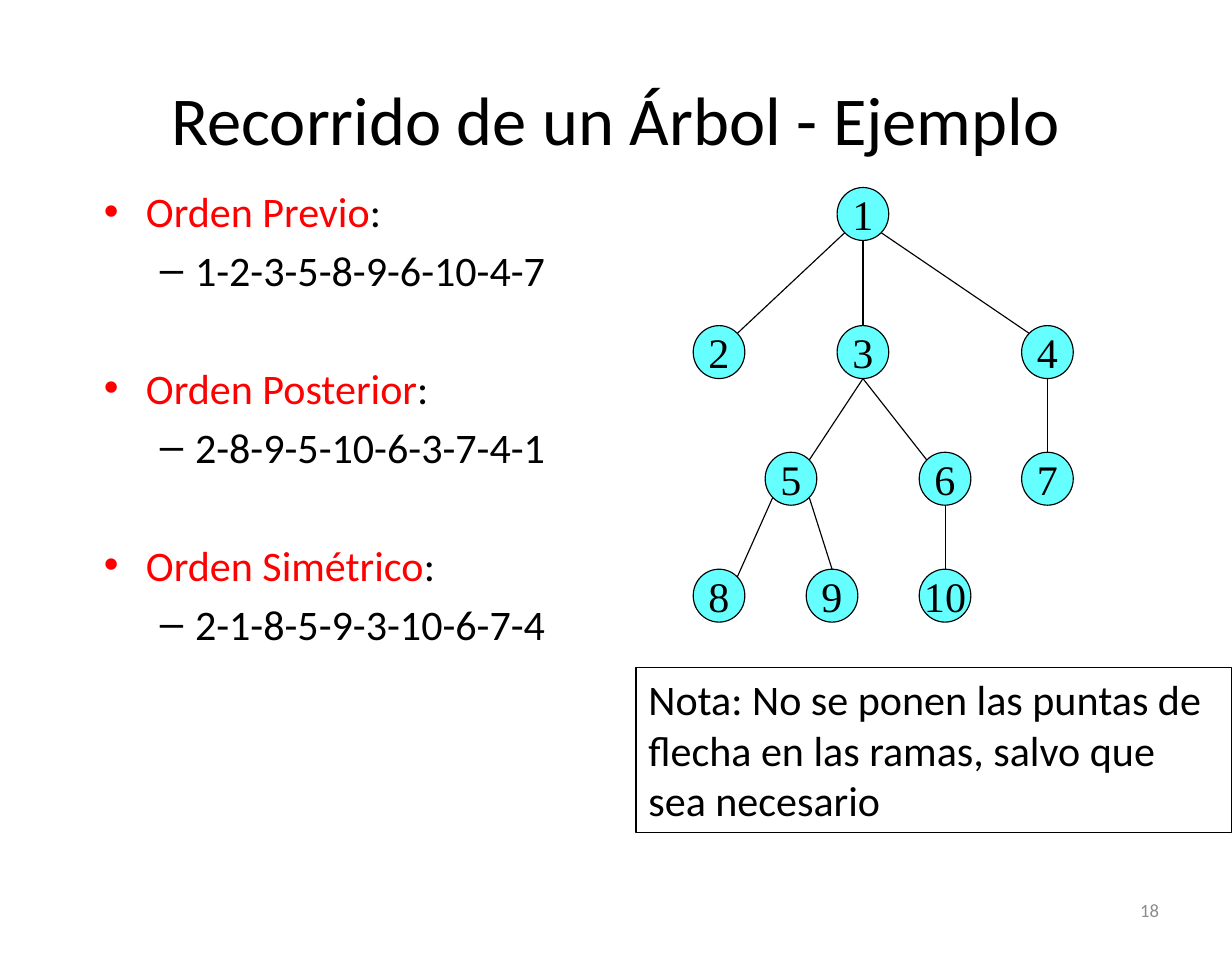
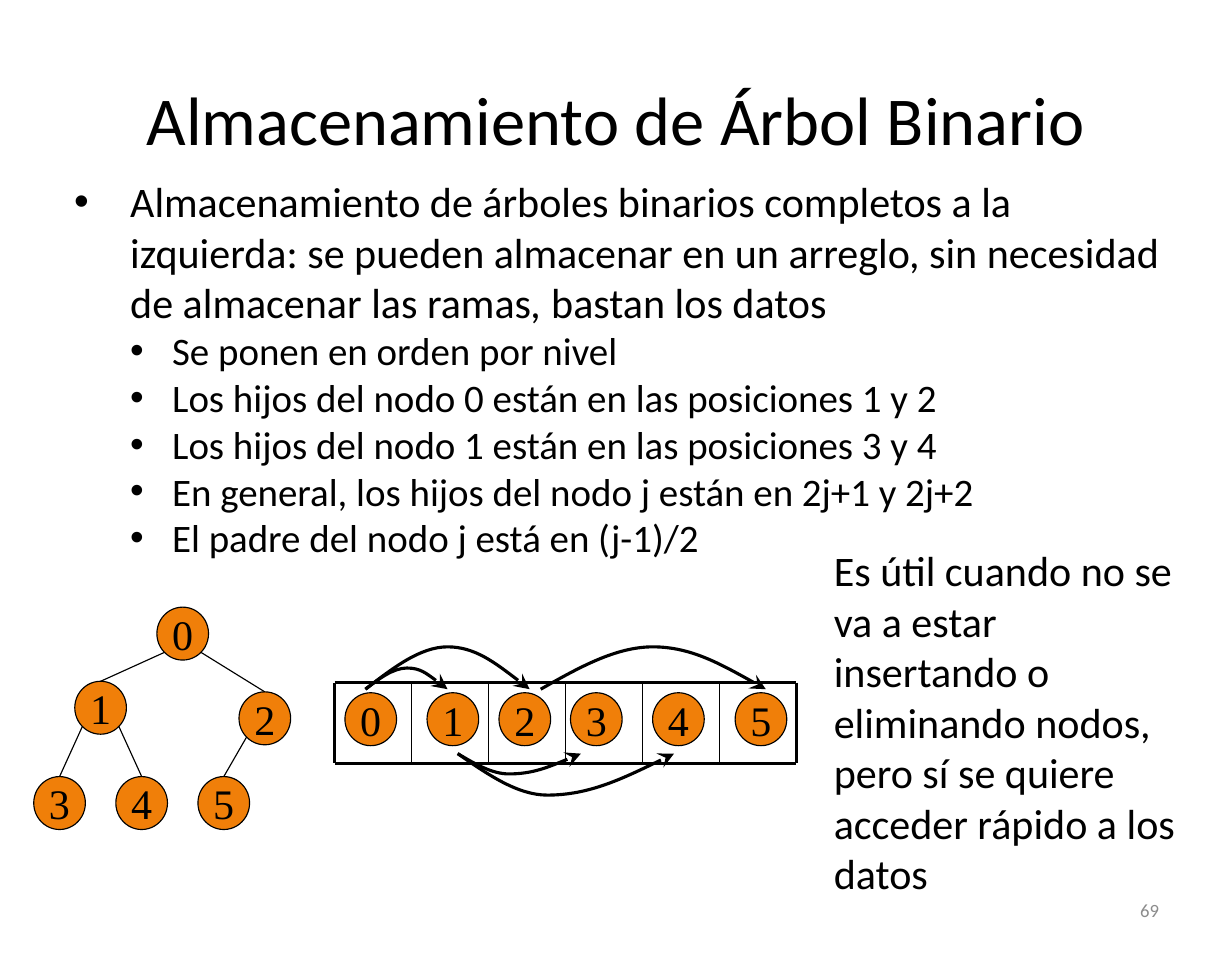
from math import sqrt

from lxml.etree import SubElement
from pptx import Presentation
from pptx.dml.color import RGBColor
from pptx.enum.shapes import MSO_CONNECTOR, MSO_SHAPE
from pptx.enum.text import MSO_ANCHOR, MSO_AUTO_SIZE, PP_ALIGN
from pptx.oxml.ns import qn
from pptx.util import Cm, Pt

BLACK, GRAY, RED, CYAN, ORANGE = "000000", "8C8C8C", "FF0000", "66FFFF", "F07F09"
BODY_FONT, NODE_FONT = "Calibri", "Times New Roman"
NODE_WIDTH, NODE_HEIGHT = 1.17, 1.2
DIAGONAL = 1 / sqrt(2)
SITES = {
    "n": (0, -1),
    "s": (0, 1),
    "nw": (-DIAGONAL, -DIAGONAL),
    "ne": (DIAGONAL, -DIAGONAL),
    "sw": (-DIAGONAL, DIAGONAL),
    "se": (DIAGONAL, DIAGONAL),
}


def color(value):
    """Turn a hex string into a colour."""
    return RGBColor.from_string(value)


def lengths(values):
    """Turn centimetres into lengths."""
    return [Cm(value) for value in values]


def site_point(center, site):
    """Return the point of a node's outline at a compass site."""
    x, y = center
    across, down = SITES[site]
    return x + across * NODE_WIDTH / 2, y + down * NODE_HEIGHT / 2


def half_arc(edge, peak):
    """Return the four Bezier points from an edge to a level peak."""
    (x0, y0), (x1, y1) = edge, peak
    third = (x1 - x0) / 3
    return [edge, (x0 + third, (y0 + y1) / 2), (x1 - third, y1), peak]


class Deck:
    """Holds the shared style and the current slide."""

    def __init__(self):
        """Start an empty presentation."""
        self.presentation = Presentation()
        self.presentation.slide_width = Cm(27.91)
        self.presentation.slide_height = Cm(21.62)
        self.slide = None

    def new_slide(self, title, number):
        """Add a slide with its title and page number."""
        layout = self.presentation.slide_layouts[1]
        self.slide = self.presentation.slides.add_slide(layout)
        shape = self.slide.shapes.title
        self.place(shape, (1.4, 0.88, 25.12, 3.61))
        shape.text_frame.text = title
        self.style(shape.text_frame.paragraphs[0], 44, align=PP_ALIGN.CENTER)
        page = self.text_box(number, (20.04, 20.06, 6.5, 1.14), 12, GRAY, PP_ALIGN.RIGHT)
        page.text_frame.vertical_anchor = MSO_ANCHOR.MIDDLE

    def place(self, shape, box):
        """Move and size a shape."""
        shape.left, shape.top, shape.width, shape.height = lengths(box)

    def style(self, paragraph, size, fill=BLACK, font=BODY_FONT, align=None):
        """Set the font and alignment of a paragraph."""
        paragraph.alignment = align
        paragraph.font.name = font
        paragraph.font.size = Pt(size)
        paragraph.font.color.rgb = color(fill)

    def inset(self, frame):
        """Set the inner margins of a text frame."""
        frame.margin_left = frame.margin_right = Cm(0.28)
        frame.margin_top = frame.margin_bottom = Cm(0.15)

    def outline(self, shape, width):
        """Draw a flat black line on a shape."""
        shape.line.color.rgb = color(BLACK)
        shape.line.width = Pt(width)

    def text_box(self, text, box, size=27, fill=BLACK, align=None):
        """Add a wrapping text box."""
        shape = self.slide.shapes.add_textbox(*lengths(box))
        frame = shape.text_frame
        frame.word_wrap = True
        self.inset(frame)
        frame.text = text
        self.style(frame.paragraphs[0], size, fill, align=align)
        return shape

    def bullet_list(self, box, items, sizes, spaces, indents=None):
        """Fill the body placeholder with (level, runs) items."""
        shape = self.slide.placeholders[1]
        self.place(shape, box)
        frame = shape.text_frame
        frame.auto_size = MSO_AUTO_SIZE.NONE
        for index, (level, runs) in enumerate(items):
            paragraph = frame.paragraphs[0] if index == 0 else frame.add_paragraph()
            paragraph.level = level
            paragraph.space_before = Pt(spaces[level] if index else 0)
            if indents:
                self.bullet(paragraph, *indents[level])
            self.style(paragraph, sizes[level])
            for text, fill in runs:
                run = paragraph.add_run()
                run.text = text
                if fill != BLACK:
                    run.font.color.rgb = color(fill)
        return frame

    def bullet(self, paragraph, margin, hanging):
        """Give a paragraph a round bullet with its own indent."""
        properties = paragraph._p.get_or_add_pPr()
        properties.set("marL", str(Cm(margin)))
        properties.set("indent", str(-Cm(hanging)))
        SubElement(properties, qn("a:buFont")).set("typeface", "Arial")
        SubElement(properties, qn("a:buChar")).set("char", "•")

    def line(self, start, end, width=0.75):
        """Add a straight line."""
        connector = self.slide.shapes.add_connector(
            MSO_CONNECTOR.STRAIGHT, *lengths((*start, *end)))
        self.outline(connector, width)
        SubElement(connector._element.spPr, qn("a:effectLst"))

    def node(self, label, center, fill):
        """Add a labelled tree node."""
        x, y = center
        box = (x - NODE_WIDTH / 2, y - NODE_HEIGHT / 2, NODE_WIDTH, NODE_HEIGHT)
        shape = self.slide.shapes.add_shape(MSO_SHAPE.OVAL, *lengths(box))
        shape.shadow.inherit = False
        shape.fill.solid()
        shape.fill.fore_color.rgb = color(fill)
        self.outline(shape, 0.75)
        frame = shape.text_frame
        frame.word_wrap = False
        frame.vertical_anchor = MSO_ANCHOR.MIDDLE
        frame.text = label
        self.style(frame.paragraphs[0], 27, font=NODE_FONT, align=PP_ALIGN.CENTER)

    def tree(self, nodes, edges, fill):
        """Add the nodes of a tree and the branches between them."""
        for label, center in nodes.items():
            self.node(label, center, fill)
        for parent, child, leave, arrive in edges:
            self.line(site_point(nodes[parent], leave), site_point(nodes[child], arrive))

    def arc_arrow(self, start, peak, end):
        """Add a curved arrow through a peak."""
        points = half_arc(start, peak) + half_arc(end, peak)[-2::-1]
        first, *rest = [tuple(lengths(point)) for point in points]
        builder = self.slide.shapes.build_freeform(*first)
        builder.add_line_segments(rest, close=False)
        shape = builder.convert_to_shape()
        self.bend(shape)
        shape.shadow.inherit = False
        shape.fill.background()
        self.outline(shape, 2)
        head = SubElement(shape.line._get_or_add_ln(), qn("a:tailEnd"))
        for name, value in (("type", "stealth"), ("w", "lg"), ("len", "lg")):
            head.set(name, value)

    def bend(self, shape):
        """Turn each three straight segments of a freeform into one curve."""
        segments = list(shape._element.iter(qn("a:lnTo")))
        outline = segments[0].getparent()
        for index in range(0, len(segments), 3):
            curve = SubElement(outline, qn("a:cubicBezTo"))
            for segment in segments[index:index + 3]:
                curve.append(segment[0])
                outline.remove(segment)


def traversal_slide(deck):
    """Build the slide on tree traversal."""
    deck.new_slide("Recorrido de un Árbol - Ejemplo", "18")
    orders = {
        "Orden Previo": "1-2-3-5-8-9-6-10-4-7",
        "Orden Posterior": "2-8-9-5-10-6-3-7-4-1",
        "Orden Simétrico": "2-1-8-5-9-3-10-6-7-4",
    }
    items = []
    for name, sequence in orders.items():
        items += [(0, [(name, RED), (":", BLACK)]), (1, [(sequence, BLACK)])]
    deck.bullet_list((2.1, 4.07, 11.63, 16.08), items, (27, 27), (43.4, 5.4))
    nodes = {
        "1": (19.55, 4.85),
        "2": (16.29, 7.98), "3": (19.55, 7.98), "4": (23.73, 7.98),
        "5": (17.92, 10.85), "6": (21.41, 10.85), "7": (23.73, 10.85),
        "8": (16.29, 13.5), "9": (18.85, 13.5), "10": (21.41, 13.5),
    }
    edges = [
        ("1", "2", "sw", "ne"), ("1", "3", "s", "n"), ("1", "4", "se", "nw"),
        ("3", "5", "s", "ne"), ("3", "6", "s", "nw"), ("4", "7", "s", "n"),
        ("5", "8", "sw", "ne"), ("5", "9", "se", "n"), ("6", "10", "s", "n"),
    ]
    deck.tree(nodes, edges, CYAN)
    note = deck.text_box(
        "Nota: No se ponen las puntas de flecha en las ramas, salvo que sea necesario",
        (14.41, 15.12, 13.49, 3.75))
    deck.outline(note, 0.75)


def storage_slide(deck):
    """Build the slide on storing a binary tree in an array."""
    deck.new_slide("Almacenamiento de Árbol Binario", "69")
    opening = [
        "Almacenamiento de árboles binarios completos a la izquierda: se pueden "
        "almacenar en un arreglo, sin necesidad de almacenar las ramas",
        ", ",
        "bastan los datos",
    ]
    rules = [
        "Se ponen en orden por nivel",
        "Los hijos del nodo 0 están en las posiciones 1 y 2",
        "Los hijos del nodo 1 están en las posiciones 3 y 4",
        "En general, los hijos del nodo j están en 2j+1 y 2j+2",
        "El padre del nodo j está en (j-1)/2",
    ]
    items = [(0, [(text, BLACK) for text in opening])]
    items += [(1, [(text, BLACK)]) for text in rules]
    frame = deck.bullet_list((1.4, 3.83, 25.58, 9.09), items, (27, 25), (0, 0),
                             ((1.27, 1.27), (2.22, 0.95)))
    deck.inset(frame)
    frame.paragraphs[0].runs[1].font.italic = True
    nodes = {
        "0": (4.14, 14.36), "1": (2.28, 16.04), "2": (6, 16.28),
        "3": (1.35, 18.2), "4": (3.21, 18.2), "5": (5.07, 18.2),
    }
    edges = [
        ("0", "1", "sw", "n"), ("0", "2", "se", "n"), ("1", "3", "sw", "n"),
        ("1", "4", "se", "n"), ("2", "5", "sw", "n"),
    ]
    deck.tree(nodes, edges, ORANGE)
    deck.text_box(
        "Es útil cuando no se va a estar insertando o eliminando nodos, "
        "pero sí se quiere acceder rápido a los datos",
        (18.61, 12.2, 8.38, 8.36))
    array_diagram(deck)


def array_diagram(deck):
    """Draw the array with the arrows from parents to children."""
    left, top, width, height = 7.58, 15.47, 10.46, 1.83
    right, bottom = left + width, top + height
    centers = (8.4, 10.26, 11.89, 13.51, 15.37, 17.24)
    for index, x in enumerate(centers):
        deck.node(str(index), (x, 16.3), ORANGE)
    for y in (top, bottom):
        deck.line((left, y), (right, y), 2.25)
    cells = len(centers)
    for index in range(cells + 1):
        x = left + index * width / cells
        deck.line((x, top), (x, bottom), 2.25 if index in (0, cells) else 1)
    above, below = 15.62, 17.08
    arrows = [
        (above, 8.28, (9.22, 15.14), 10.14),
        (above, 8.28, (10.14, 14.66), 12),
        (above, 12.25, (14.79, 14.66), 17.35),
        (below, 10.37, (11.53, 17.54), 13.16),
        (below, 10.37, (12.4, 18.02), 15.27),
    ]
    for y, start, peak, end in arrows:
        deck.arc_arrow((start, y), peak, (end, y))


def main():
    """Build and save the presentation."""
    deck = Deck()
    traversal_slide(deck)
    storage_slide(deck)
    deck.presentation.save("out.pptx")


if __name__ == "__main__":
    main()
